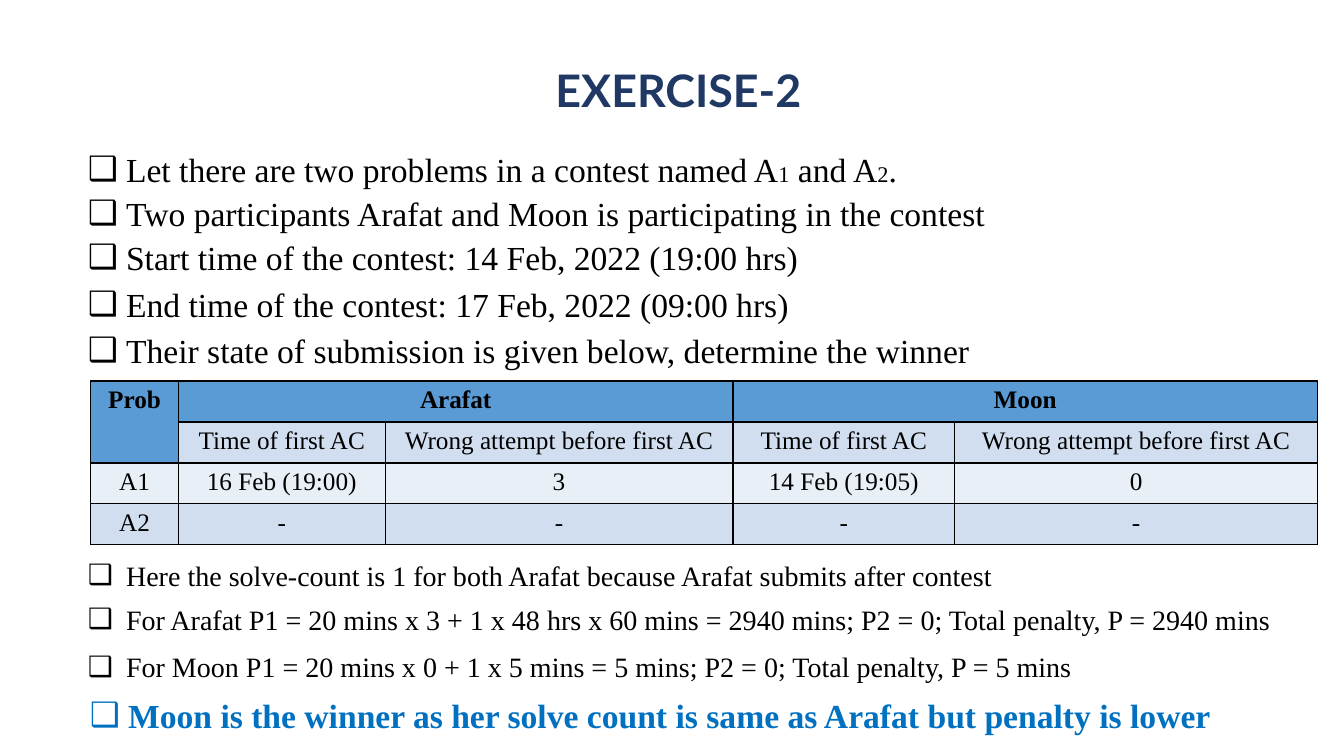
from pptx import Presentation
from pptx.dml.color import RGBColor
from pptx.enum.text import MSO_ANCHOR, MSO_AUTO_SIZE, PP_ALIGN
from pptx.oxml.ns import qn
from pptx.util import Inches, Pt
from lxml.etree import SubElement

BLACK, NAVY, BLUE = "000000", "1F3864", "0070C0"
HEADER, BAND, LIGHT = "5B9BD5", "D0DEEF", "E9EFF7"
SERIF, SANS = "Times New Roman", "Lato"


def color(value):
    """Turn a hex string into a colour."""
    return RGBColor.from_string(value)


def apply(target, values):
    """Set each named attribute on the target."""
    for name, value in values.items():
        setattr(target, name, value)


class SlideBuilder:
    """Hold the deck's style and current slide; lengths are percent shares of it."""

    def __init__(self, deck, layout):
        """Add a page with the given layout."""
        self.width, self.height = deck.slide_width, deck.slide_height
        self.page = deck.slides.add_slide(deck.slide_layouts[layout])

    def across(self, share):
        """Convert a share of the width."""
        return round(self.width * share / 100)

    def down(self, share):
        """Convert a share of the height."""
        return round(self.height * share / 100)

    def place(self, index, left, top, width, height, anchor):
        """Move a placeholder and return its text frame."""
        box = self.page.placeholders[index]
        apply(box, {"left": self.across(left), "top": self.down(top),
                    "width": self.across(width), "height": self.down(height)})
        frame = box.text_frame
        apply(frame, {"word_wrap": True, "auto_size": MSO_AUTO_SIZE.NONE,
                      "vertical_anchor": anchor})
        return frame

    def span(self, para, text, size, tint=BLACK, font=SERIF, bold=False):
        """Add one styled run."""
        span = para.add_run()
        span.text = text
        apply(span.font, {"size": Pt(size), "name": font, "bold": bold})
        span.font.color.rgb = color(tint)

    def title(self, text, *area):
        """Fill the title placeholder."""
        para = self.place(0, *area, MSO_ANCHOR.MIDDLE).paragraphs[0]
        para.alignment = PP_ALIGN.CENTER
        self.span(para, text, 32, NAVY, SANS, True)

    def bullet(self, para, tint, margin):
        """Give a paragraph a hanging box bullet."""
        properties = para._p.get_or_add_pPr()
        apply_to = {"marL": margin, "indent": -0.38}
        for name, value in apply_to.items():
            properties.set(name, str(Inches(value)))
        fill = SubElement(properties, qn("a:buClr"))
        SubElement(fill, qn("a:srgbClr"), val=tint)
        SubElement(properties, qn("a:buChar"), char="❑")

    def bullets(self, index, items, *area):
        """Fill a body placeholder from (gap, spans, style, margin) items."""
        frame = self.place(index, *area, MSO_ANCHOR.TOP)
        for number, (gap, spans, style, margin) in enumerate(items):
            para = frame.add_paragraph() if number else frame.paragraphs[0]
            apply(para, {"space_before": Pt(gap), "space_after": Pt(0),
                         "line_spacing": 1.0, "alignment": PP_ALIGN.LEFT})
            self.bullet(para, style.get("tint", BLACK), margin)
            for text, size in spans:
                self.span(para, text, size, **style)

    def border(self, cell):
        """Draw a thin black line on each side of a cell."""
        properties = cell._tc.get_or_add_tcPr()
        for side in "LRTB":
            line = SubElement(properties, qn(f"a:ln{side}"), w=str(Pt(1)))
            fill = SubElement(line, qn("a:solidFill"))
            SubElement(fill, qn("a:srgbClr"), val=BLACK)

    def table(self, rows, fills, widths, merges, left, top, row_height):
        """Add a bordered table with one fill per row."""
        table = self.page.shapes.add_table(
            len(rows), len(widths), self.across(left), self.down(top),
            self.across(sum(widths)), self.down(row_height * len(rows))).table
        apply(table, {"first_row": False, "horz_banding": False})
        for column, width in zip(table.columns, widths):
            column.width = self.across(width)
        for start, end in merges:
            table.cell(*start).merge(table.cell(*end))
        for r, (texts, tint) in enumerate(zip(rows, fills)):
            table.rows[r].height = self.down(row_height)
            for c, text in enumerate(texts):
                cell = table.cell(r, c)
                self.border(cell)
                cell.fill.solid()
                cell.fill.fore_color.rgb = color(tint)
                if text:
                    para = cell.text_frame.paragraphs[0]
                    para.alignment = PP_ALIGN.CENTER
                    self.span(para, text, 18, bold=r == 0)


def main():
    """Build the exercise slide."""
    deck = Presentation()
    apply(deck, {"slide_width": Inches(13.33), "slide_height": Inches(7.5)})
    slide = SlideBuilder(deck, 3)
    slide.title("EXERCISE-2", 2.93, 6.93, 95.12, 9.87)

    named = [("Let there are two problems in a contest named A", 24), ("1", 16),
             (" and A", 24), ("2", 16), (".", 24)]
    facts = [(2.6, "Two participants Arafat and Moon is participating in the contest"),
             (2.6, "Start time of the contest: 14 Feb, 2022 (19:00 hrs)"),
             (4.8, "End time of the contest: 17 Feb, 2022 (09:00 hrs)"),
             (4.1, "Their state of submission is given below, determine the winner")]
    problem = [(0, named, {}, 0.38)]
    problem += [(gap, [(text, 24)], {}, 0.38) for gap, text in facts]
    slide.bullets(1, problem, 5.78, 19.07, 73.2, 29.73)

    measures = ["Time of first AC", "Wrong attempt before first AC"]
    rows = [["Prob", "Arafat", "", "Moon", ""],
            ["", *measures * 2],
            ["A1", "16 Feb (19:00)", "3", "14 Feb (19:05)", "0"],
            ["A2", *"----"]]
    merges = [((0, 0), (1, 0)), ((0, 1), (0, 2)), ((0, 3), (0, 4))]
    slide.table(rows, [HEADER, BAND, LIGHT, BAND], [6.53, 15.38, 25.88, 16.5, 27],
                merges, 6.75, 50.4, 5.42)

    steps = [(0, "Here the solve-count is 1 for both Arafat because Arafat submits after contest"),
             (7.2, "For Arafat P1 = 20 mins x 3 + 1 x 48 hrs x 60 mins = 2940 mins; "
                   "P2 = 0; Total penalty, P = 2940 mins"),
             (10.1, "For Moon P1 = 20 mins x 0 + 1 x 5 mins = 5 mins; "
                    "P2 = 0; Total penalty, P = 5 mins")]
    winner = "Moon is the winner as her solve count is same as Arafat but penalty is lower"
    solution = [(gap, [(text, 20)], {}, 0.38) for gap, text in steps]
    solution.append((8, [(winner, 24)], {"tint": BLUE, "bold": True}, 0.4))
    slide.bullets(2, solution, 5.78, 73.2, 94, 24.13)
    deck.save("out.pptx")


if __name__ == "__main__":
    main()
